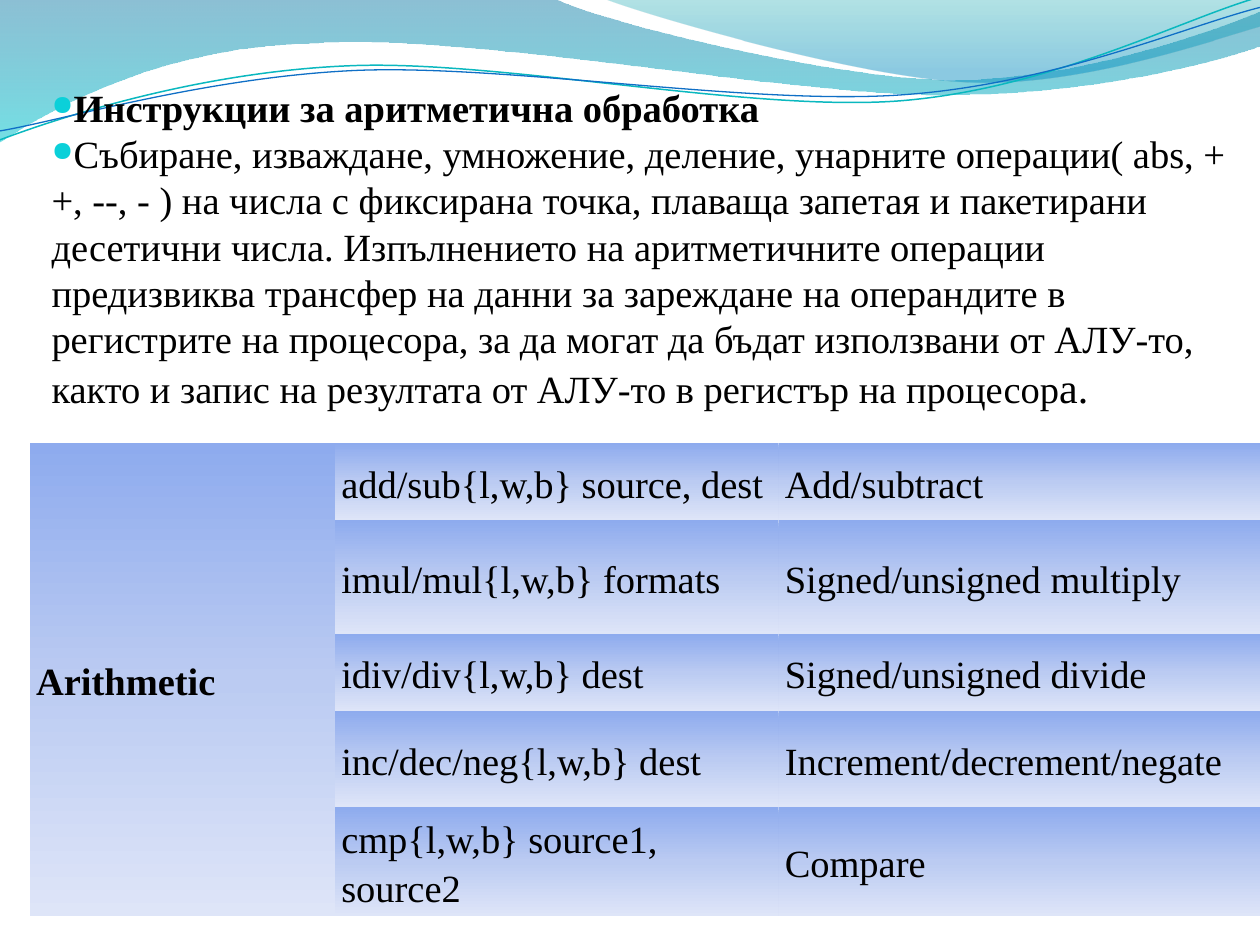
from pptx import Presentation
from pptx import util as u
from pptx.dml.color import RGBColor
from pptx.enum import text
from pptx.oxml import parse_xml
from pptx.oxml.ns import nsdecls, qn

BLACK = RGBColor(0x00, 0x00, 0x00)
CYAN = RGBColor(0x0B, 0xD0, 0xD9)
TEAL = RGBColor(0x0A, 0xB8, 0xBF)
BLUE = RGBColor(0x0F, 0x6F, 0xC6)
WAVE_TOP, WAVE_BOTTOM = RGBColor(0x00, 0x74, 0xA1), RGBColor(0x00, 0xC6, 0xCF)
CREST_TOP, CREST_BOTTOM = RGBColor(0x00, 0xA1, 0xA9), RGBColor(0x00, 0x8B, 0xBF)
CELL_TOP = RGBColor(0x8E, 0xAB, 0xEE)
CELL_MID = RGBColor(0xBB, 0xCB, 0xF2)
CELL_BOTTOM = RGBColor(0xDE, 0xE5, 0xF8)
FONT = "Times New Roman"


def set_gradient(fill, parent, stops):
    fill.gradient()
    gs = "".join(
        f'<a:gs pos="{pos * 1000}"><a:srgbClr val="{color}">'
        f'<a:alpha val="{alpha * 1000}"/></a:srgbClr></a:gs>'
        for pos, color, alpha in stops
    )
    old = parent.find(qn("a:gradFill"))
    parent.replace(old, parse_xml(
        f'<a:gradFill {nsdecls("a")} rotWithShape="1"><a:gsLst>{gs}</a:gsLst>'
        '<a:lin ang="5400000" scaled="0"/></a:gradFill>'))


def write(p, *runs, bold=False, spacing=1.0, left=0, indent=0, bullet=None):
    pPr = p._p.get_or_add_pPr()
    pPr.set("marL", str(u.Cm(left)))
    pPr.set("indent", str(u.Cm(indent)))
    p.line_spacing = spacing
    if bullet:
        for xml in (f'<a:buClr {nsdecls("a")}><a:srgbClr val="{CYAN}"/></a:buClr>',
                    f'<a:buSzPct {nsdecls("a")} val="72000"/>',
                    f'<a:buChar {nsdecls("a")} char="{bullet}"/>'):
            pPr.append(parse_xml(xml))
    for words, size in runs:
        r = p.add_run()
        r.text = words
        r.font.name = FONT
        r.font.size = u.Pt(size)
        r.font.bold = bold
        r.font.color.rgb = BLACK


prs = Presentation()
prs.slide_width, prs.slide_height = u.Cm(25.4), u.Cm(19.05)
s = prs.slides.add_slide(prs.slide_layouts[6])

wave = [(-0.03, -0.03), [(11.18, -0.03)],
        [(12.09, 0.43), (16.87, 1.6), (19.25, 1.6)],
        [(21.67, 1.6), (24.33, 0.66), (25.4, 0.23)],
        [(25.43, 0.91)],
        [(24.97, 1.12), (22.1, 1.93), (18.95, 1.91)],
        [(15.8, 1.91), (9.7, 0.71), (6.53, 0.86)],
        [(3.28, 0.91), (1.17, 2.11), (-0.03, 2.87)]]
crest = [(12.17, -0.03),
         [(12.93, 0.28), (17.32, 1.57), (19.53, 1.65)],
         [(21.74, 1.75), (24.41, 0.81), (25.4, 0.53)],
         [(25.4, 0)]]
teal_line = [(-0.05, 2.22),
             [(1.19, 1.82), (4.02, 1.04), (7.05, 1.06)],
             [(10.05, 1.07), (15.02, 2.37), (18.08, 2.29)],
             [(21.13, 2.2), (23.87, 0.91), (25.41, 0.55)]]
blue_line = [(-0.04, 2.04),
             [(1.16, 1.9), (4.18, 1.15), (7.2, 1.16)],
             [(10.25, 1.18), (15.13, 2.25), (18.18, 2.17)],
             [(21.21, 2.1), (23.93, 1.06), (25.45, 0.75)]]
outlines = [
    (wave, [(0, WAVE_TOP, 45), (100, WAVE_BOTTOM, 55)], None, 0),
    (crest, [(0, CREST_TOP, 30), (80, CREST_BOTTOM, 45)], None, 0),
    (teal_line, None, TEAL, 0.85),
    (blue_line, None, BLUE, 0.75),
]
for (start, *segments), stops, color, width in outlines:
    fb = s.shapes.build_freeform(u.Cm(start[0]), u.Cm(start[1]))
    for seg in segments:
        fb.add_line_segments([(u.Cm(x), u.Cm(y)) for x, y in seg],
                             close=stops is not None and seg is segments[-1])
    sp = fb.convert_to_shape()
    sp.shadow.inherit = False
    steps = iter(list(sp._element.spPr.iter(qn("a:lnTo"))))
    for seg in segments:
        parts = [next(steps) for _ in seg]
        if len(parts) == 3:
            curve = parse_xml(f'<a:cubicBezTo {nsdecls("a")}/>')
            parts[0].addprevious(curve)
            for part in parts:
                curve.append(part[0])
                part.getparent().remove(part)
    if stops:
        set_gradient(sp.fill, sp._element.spPr, stops)
        sp.line.fill.background()
    else:
        sp.fill.background()
        sp.line.color.rgb = color
        sp.line.width = u.Pt(width)
        sp.rotation = 357.3

sp = s.shapes.add_textbox(u.Cm(0.79), u.Cm(1.57), u.Cm(24.61), u.Cm(6.93))
tf = sp.text_frame
tf.word_wrap = True
body = {"indent": -0.76, "bullet": "●"}
write(tf.paragraphs[0], ("Инструкции за аритметична обработка", 22), bold=True, **body)
write(tf.add_paragraph(),
      ("Събиране, изваждане, умножение, деление, унарните операции( abs, ++, --, - ) "
       "на числа с фиксирана точка, плаваща запетая и пакетирани десетични числа. "
       "Изпълнението на аритметичните операции предизвиква трансфер на данни за "
       "зареждане на операндите в регистрите на процесора, за да могат да бъдат "
       "използвани от АЛУ-то, както и запис на резултата от АЛУ-то в регистър на "
       "процесор", 22),
      ("а.", 24), **body)

rows = [
    ("Arithmetic", "add/sub{l,w,b} source, dest", "Add/subtract"),
    ("", "imul/mul{l,w,b} formats", "Signed/unsigned multiply"),
    ("", "idiv/div{l,w,b} dest", "Signed/unsigned divide"),
    ("", "inc/dec/neg{l,w,b} dest", "Increment/decrement/negate"),
    ("", "cmp{l,w,b} source1, source2", "Compare"),
]
widths = [6.15, 8.94, 9.72]
heights = [1.55, 2.3, 1.55, 1.93, 0.81]
tbl = s.shapes.add_table(len(rows), len(widths), u.Cm(0.6), u.Cm(8.94),
                         u.Cm(sum(widths)), u.Cm(9.53)).table
tbl.first_row = tbl.horz_banding = False
tbl._tbl.tblPr.find(qn("a:tableStyleId")).text = "{2D5ABB26-0587-4C30-8999-92F81FD0307C}"
for col, width in zip(tbl.columns, widths):
    col.width = u.Cm(width)
for row, height in zip(tbl.rows, heights):
    row.height = u.Cm(height)
tbl.cell(0, 0).merge(tbl.cell(len(rows) - 1, 0))
for i, row in enumerate(rows):
    for j, words in enumerate(row):
        cell = tbl.cell(i, j)
        cell.margin_left = cell.margin_right = u.Cm(0.03)
        cell.margin_top = cell.margin_bottom = u.Cm(0.03)
        if cell.is_spanned:
            continue
        cell.vertical_anchor = text.MSO_ANCHOR.MIDDLE
        set_gradient(cell.fill, cell._tc.tcPr,
                     [(0, CELL_TOP, 100), (50, CELL_MID, 100), (100, CELL_BOTTOM, 100)])
        write(cell.text_frame.paragraphs[0], (words, 22), bold=j == 0,
              spacing=1.15, left=0.1)

prs.save("out.pptx")
